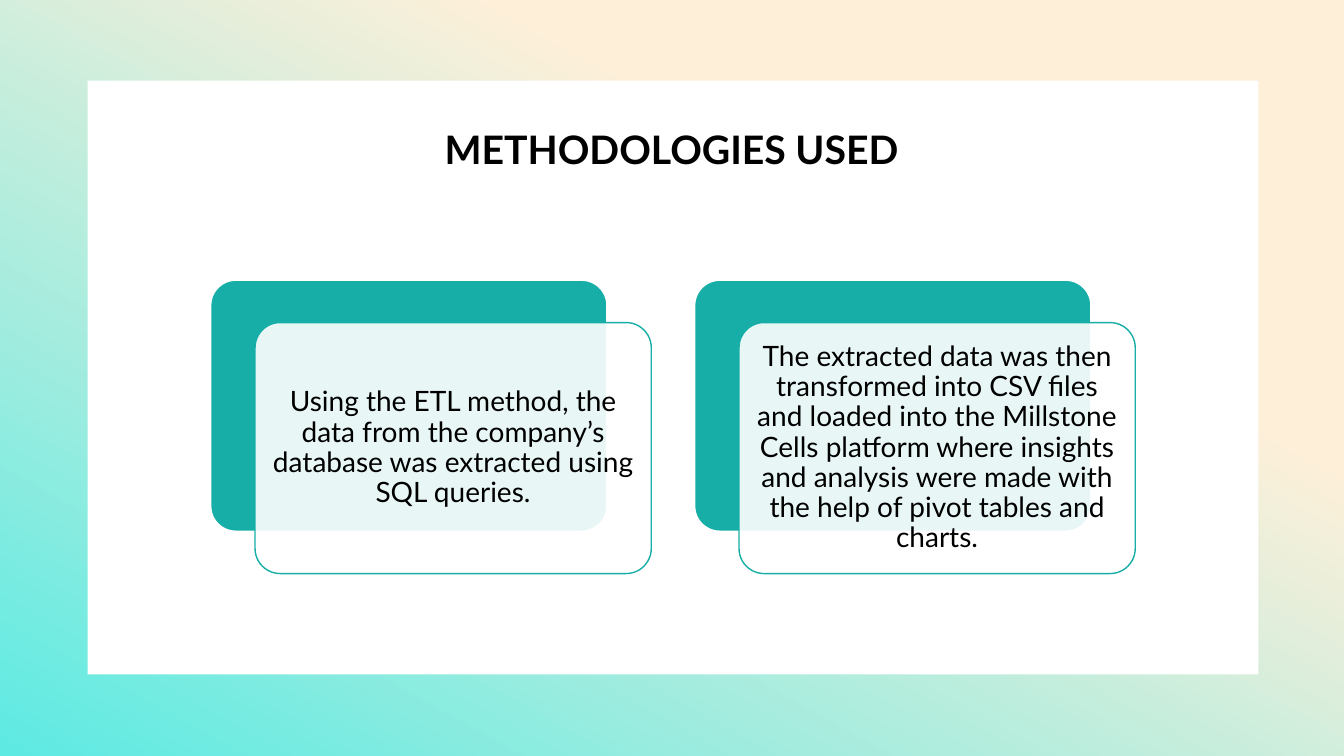
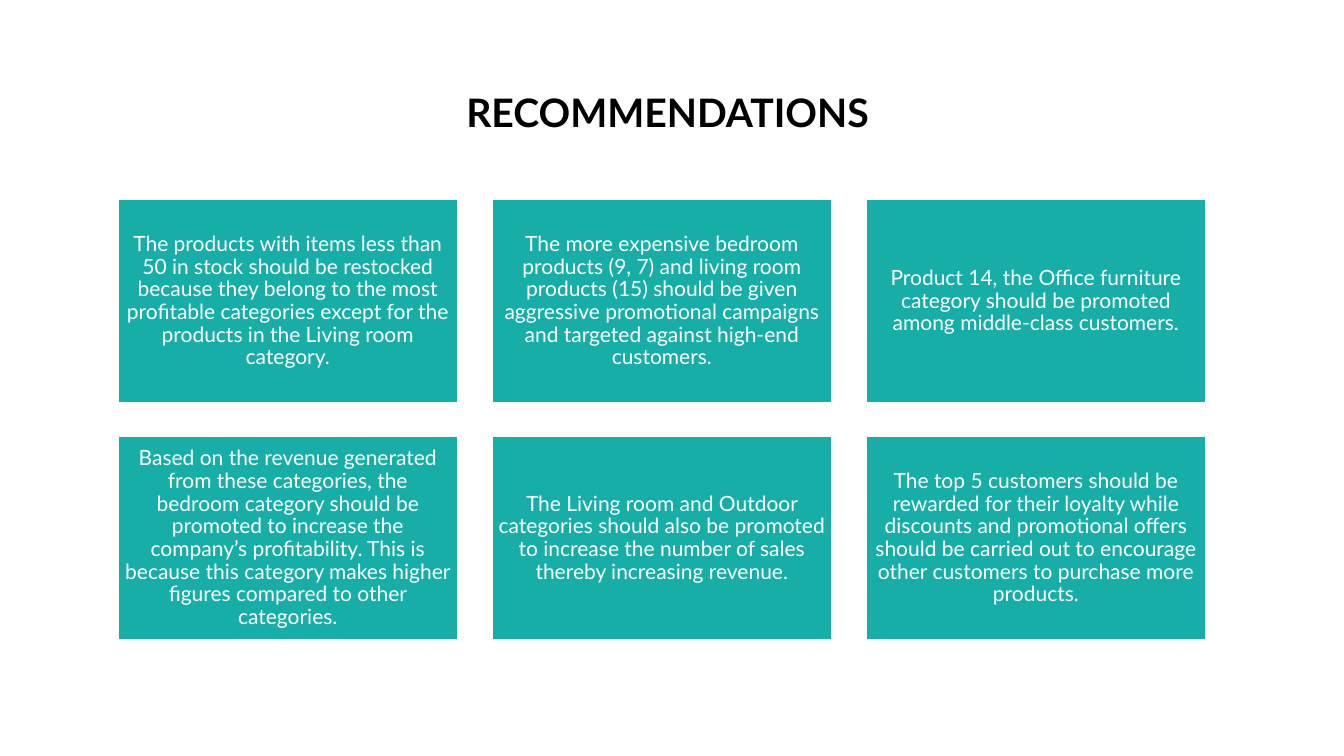
from dataclasses import dataclass

from lxml import etree
from pptx import Presentation
from pptx import util as u
from pptx.dml.color import RGBColor
from pptx.enum import shapes, text
from pptx.oxml import ns

PX = 9144
FONT = "Lato"
COLORS = {
    "teal": "16AEA7",
    "white": "FFFFFF",
    "black": "000000",
    "cream": "FEEFD9",
    "aqua": "58EAE3",
}

METHODS = [
    "Using the ETL method, the data from the company’s database was extracted using SQL queries.",
    "The extracted data was then transformed into CSV files and loaded into the Millstone Cells "
    "platform where insights and analysis were made with the help of pivot tables and charts.",
]
RECOMMENDATIONS = [
    "The products with items less than 50 in stock should be restocked because they belong to "
    "the most profitable categories except for the products in the Living room category.",
    "The more expensive bedroom products (9, 7) and living room products (15) should be given "
    "aggressive promotional campaigns and targeted against high-end customers.",
    "Product 14, the Office furniture category should be promoted among middle-class customers.",
    "Based on the revenue generated from these categories, the bedroom category should be "
    "promoted to increase the company’s profitability. This is because this category makes "
    "higher figures compared to other categories.",
    "The Living room and Outdoor categories should also be promoted to increase the number of "
    "sales thereby increasing revenue.",
    "The top 5 customers should be rewarded for their loyalty while discounts and promotional "
    "offers should be carried out to encourage other customers to purchase more products.",
]


@dataclass(frozen=True)
class Box:
    x: int
    y: int
    w: int
    h: int

    def moved(self, dx: int, dy: int) -> "Box":
        return Box(self.x + dx, self.y + dy, self.w, self.h)

    def emu(self) -> tuple[int, int, int, int]:
        return self.x * PX, self.y * PX, self.w * PX, self.h * PX


@dataclass(frozen=True)
class Style:
    fill: str
    line: str | None = None
    rounded: bool = False
    opacity: int = 100
    font_color: str = "black"
    size: int = 20
    inset: int = 8


PANEL = Style("white")
BACK_CARD = Style("teal", "white", rounded=True)
FRONT_CARD = Style("white", "teal", rounded=True, opacity=90)
TILE = Style("teal", "white", font_color="white", size=15, inset=6)


def rgb(name: str) -> RGBColor:
    return RGBColor.from_string(COLORS[name])


def write(tf, content: str, size: int, color: str, bold: bool = False) -> None:
    tf.word_wrap = True
    tf.auto_size = text.MSO_AUTO_SIZE.NONE
    p = tf.paragraphs[0]
    p.text = content
    p.alignment = text.PP_ALIGN.CENTER
    p.line_spacing = 0.9
    p.font.name = FONT
    p.font.size = u.Pt(size)
    p.font.bold = bold
    p.font.color.rgb = rgb(color)


def add_box(slide, box: Box, style: Style, content: str = ""):
    kind = shapes.MSO_SHAPE.ROUNDED_RECTANGLE if style.rounded else shapes.MSO_SHAPE.RECTANGLE
    sp = slide.shapes.add_shape(kind, *box.emu())
    sp.shadow.inherit = False
    if style.rounded:
        sp.adjustments[0] = 0.1
    sp.fill.solid()
    sp.fill.fore_color.rgb = rgb(style.fill)
    if style.opacity < 100:
        color = sp.element.spPr.find(ns.qn("a:solidFill"))[0]
        etree.SubElement(color, ns.qn("a:alpha"), val=str(style.opacity * 1000))
    if style.line:
        sp.line.color.rgb = rgb(style.line)
        sp.line.width = u.Pt(1)
    else:
        sp.line.fill.background()
    if content:
        tf = sp.text_frame
        tf.margin_left = tf.margin_right = tf.margin_top = tf.margin_bottom = style.inset * PX
        tf.vertical_anchor = text.MSO_ANCHOR.MIDDLE
        write(tf, content, style.size, style.font_color)
    return sp


def add_backdrop(slide) -> None:
    sp = add_box(slide, Box(-6, -12, 1346, 773), PANEL)
    sp.rotation = 359
    sp.fill.gradient()
    sp.fill.gradient_angle = 240
    stops = sp.fill.gradient_stops
    for stop, color, position in zip(stops, ("cream", "aqua"), (0.32, 1)):
        stop.color.rgb = rgb(color)
        stop.position = position


def set_title(slide, content: str, box: Box, anchor: text.MSO_ANCHOR) -> None:
    sp = slide.shapes.title
    sp.left, sp.top, sp.width, sp.height = box.emu()
    sp.text_frame.vertical_anchor = anchor
    write(sp.text_frame, content, 28, "black", bold=True)
    slide.shapes.element.append(sp.element)


def build_methods(slide) -> None:
    add_backdrop(slide)
    add_box(slide, Box(87, 80, 1161, 589), PANEL)
    set_title(slide, "METHODOLOGIES USED", Box(233, 125, 866, 63), text.MSO_ANCHOR.TOP)
    first = Box(209, 278, 393, 249)
    for i, content in enumerate(METHODS):
        back = first.moved(480 * i, 0)
        add_box(slide, back, BACK_CARD)
        add_box(slide, back.moved(44, 42), FRONT_CARD, content)


def build_recommendations(slide) -> None:
    set_title(slide, "RECOMMENDATIONS", Box(176, 69, 972, 71), text.MSO_ANCHOR.BOTTOM)
    first = Box(117, 198, 337, 202)
    for i, content in enumerate(RECOMMENDATIONS):
        row, column = divmod(i, 3)
        add_box(slide, first.moved(371 * column, 235 * row), TILE, content)


def main() -> None:
    prs = Presentation()
    prs.slide_width, prs.slide_height = 1333 * PX, 750 * PX
    title_only = prs.slide_layouts.get_by_name("Title Only")
    for build in (build_methods, build_recommendations):
        build(prs.slides.add_slide(title_only))
    prs.save("out.pptx")


if __name__ == "__main__":
    main()
